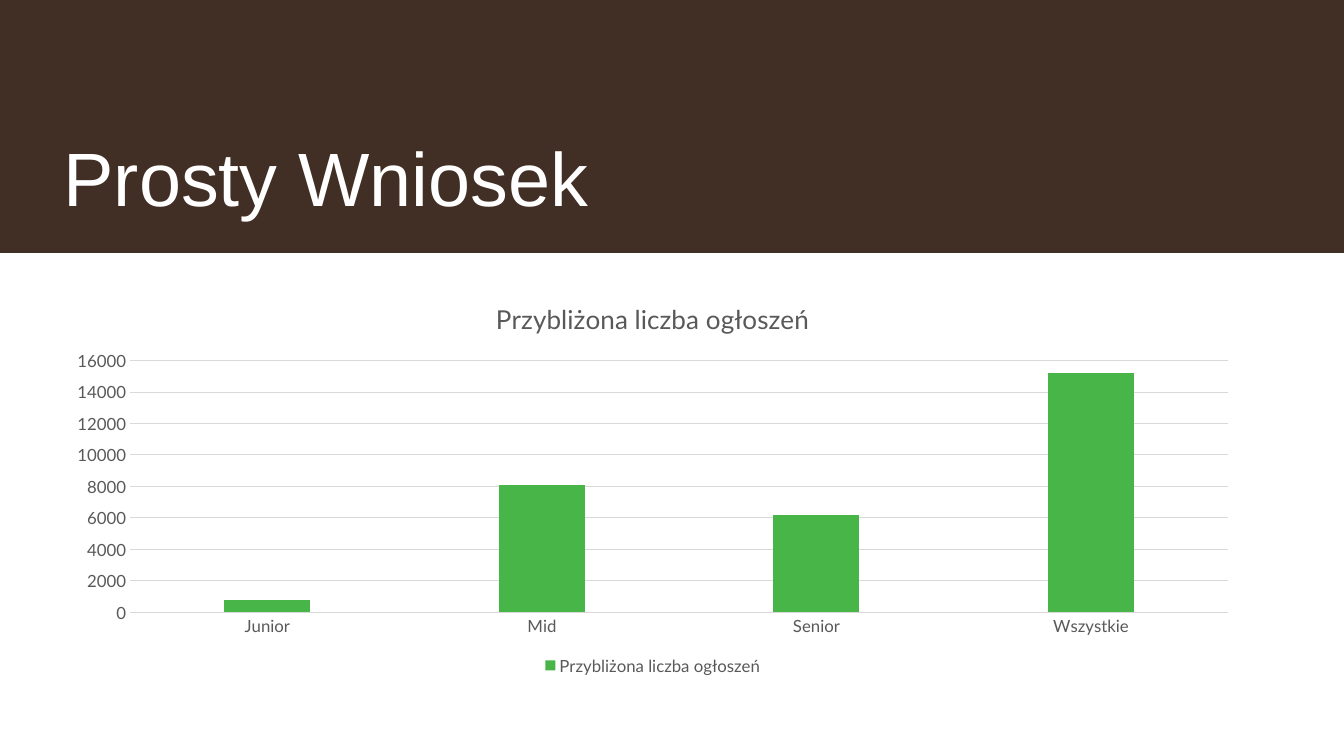
from lxml import etree
from pptx import Presentation
from pptx import util as u
from pptx.chart import data
from pptx.dml.color import RGBColor
from pptx.enum import chart as ch, shapes, text

GREY = "595959"
GRID = "D9D9D9"
HEADING = "Przybliżona liczba ogłoszeń"
OFFERS = {"Junior": 800, "Mid": 8100, "Senior": 6200, "Wszystkie": 15200}


def color(value):
    return RGBColor.from_string(value)


def set_attrs(obj, values):
    for name, value in values.items():
        setattr(obj, name, value)


def box(left, top, width, height):
    return [u.Inches(v) for v in (left, top, width, height)]


def style_font(font, size, hex_color, name):
    set_attrs(font, {"size": u.Pt(size), "name": name, "bold": False})
    font.color.rgb = color(hex_color)


def style_line(line, hex_color):
    line.color.rgb = color(hex_color)
    line.width = u.Pt(0.75)


def add_band(s, hex_color):
    sp = s.shapes.add_shape(shapes.MSO_SHAPE.RECTANGLE, *box(0, 0, 13.33, 2.51))
    sp.shadow.inherit = False
    sp.fill.solid()
    sp.fill.fore_color.rgb = color(hex_color)
    sp.line.fill.background()
    s.shapes.title._element.addprevious(sp._element)


def set_title(s, words):
    sp = s.shapes.title
    set_attrs(sp, dict(zip(("left", "top", "width", "height"), box(0.53, 0.4, 11.89, 1.85))))
    tf = sp.text_frame
    set_attrs(tf, {"word_wrap": True, "auto_size": text.MSO_AUTO_SIZE.NONE,
                   "vertical_anchor": text.MSO_ANCHOR.BOTTOM})
    p = tf.paragraphs[0]
    p.alignment = text.PP_ALIGN.LEFT
    r = p.add_run()
    r.text = words
    style_font(r.font, 54, "FFFFFF", "Arial")


def style_axis(axis):
    set_attrs(axis, {"major_tick_mark": ch.XL_TICK_MARK.NONE,
                     "minor_tick_mark": ch.XL_TICK_MARK.NONE})
    style_font(axis.tick_labels.font, 12, GREY, "Lato")


def add_offer_chart(s):
    cd = data.CategoryChartData()
    cd.categories = list(OFFERS)
    cd.add_series(HEADING, list(OFFERS.values()))
    chart = s.shapes.add_chart(ch.XL_CHART_TYPE.COLUMN_CLUSTERED,
                               *box(0.53, 2.8, 11.89, 3.94), cd).chart
    style_font(chart.font, 10, "000000", "Lato")

    chart.has_title = True
    chart.chart_title.include_in_layout = False
    r = chart.chart_title.text_frame.paragraphs[0].add_run()
    r.text = HEADING
    style_font(r.font, 18.6, GREY, "Lato")

    chart.has_legend = True
    set_attrs(chart.legend, {"position": ch.XL_LEGEND_POSITION.BOTTOM,
                             "include_in_layout": False})
    style_font(chart.legend.font, 12, GREY, "Lato")

    style_axis(chart.category_axis)
    style_line(chart.category_axis.format.line, GRID)
    axis = chart.value_axis
    style_axis(axis)
    set_attrs(axis, {"minimum_scale": 0, "maximum_scale": 16000, "major_unit": 2000})
    axis.format.line.fill.background()
    style_line(axis.major_gridlines.format.line, GRID)

    plot = chart.plots[0]
    set_attrs(plot, {"gap_width": 219, "overlap": -27, "vary_by_categories": False})
    fill = plot.series[0].format.fill
    fill.solid()
    fill.fore_color.rgb = color("47B547")


def main():
    prs = Presentation()
    set_attrs(prs, {"slide_width": u.Inches(13.33), "slide_height": u.Inches(7.5)})
    s = prs.slides.add_slide(prs.slide_layouts[5])
    add_band(s, "412E24")
    set_title(s, "Prosty Wniosek")
    add_offer_chart(s)
    prs.save("out.pptx")


if __name__ == "__main__":
    main()
